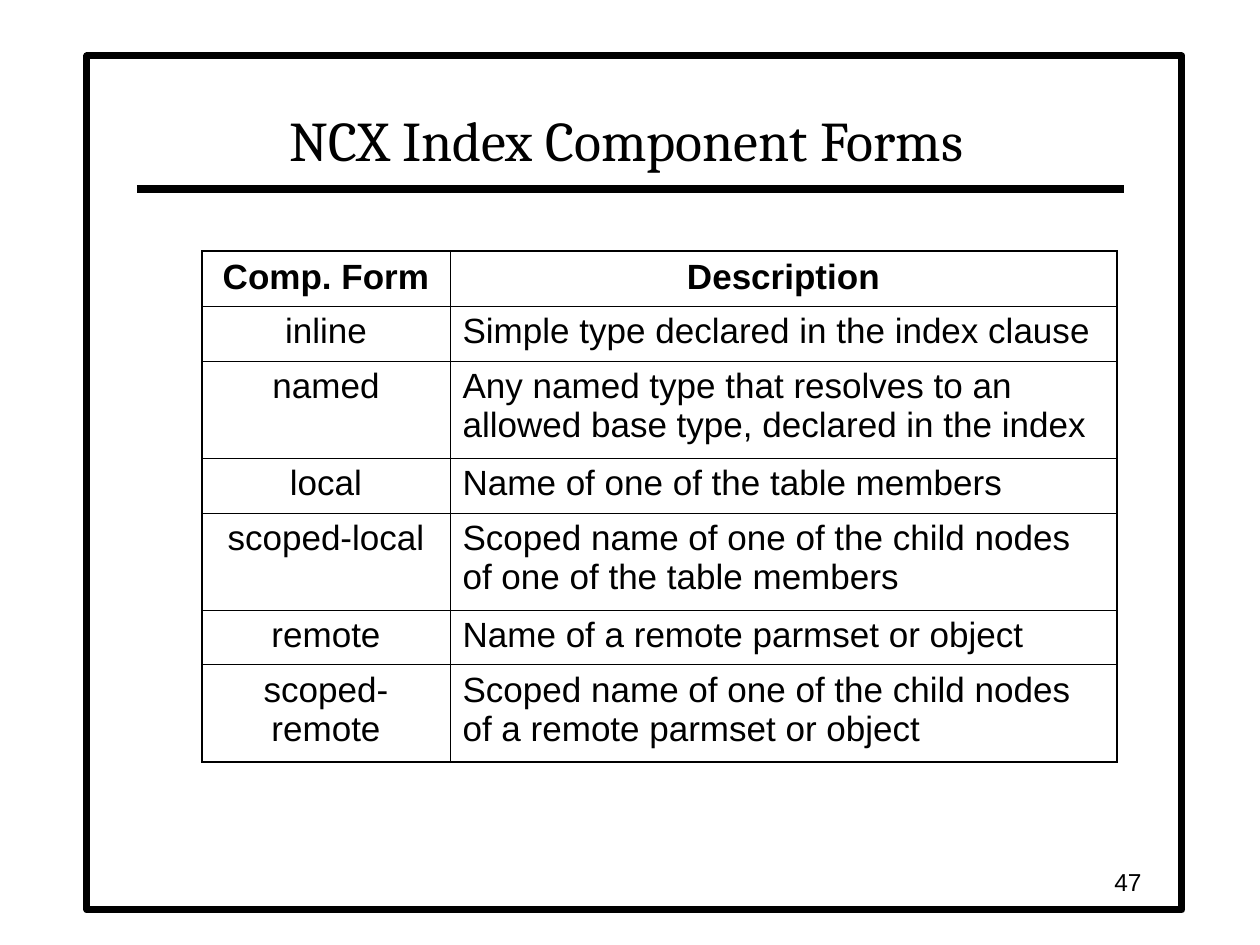
from lxml.etree import SubElement
from pptx import Presentation
from pptx.dml.color import RGBColor
from pptx.enum.shapes import MSO_CONNECTOR, MSO_SHAPE
from pptx.enum.text import MSO_ANCHOR, MSO_AUTO_SIZE, PP_ALIGN
from pptx.oxml import parse_xml
from pptx.oxml.ns import nsdecls, qn
from pptx.util import Emu, Pt

PX_PER_INCH = 126
BLACK, WHITE = "000000", "FFFFFF"
THIN, THICK = 0.45, 1.08
COLUMN_WIDTHS = (248, 667)
SINGLE_ROW, DOUBLE_ROW = 55, 97
# Each row: component form, description, row height
ROWS = [
    ("Comp. Form", "Description", SINGLE_ROW),
    ("inline", "Simple type declared in the index clause", SINGLE_ROW),
    ("named", "Any named type that resolves to an allowed base type, "
              "declared in the index", DOUBLE_ROW),
    ("local", "Name of one of the table members", SINGLE_ROW),
    ("scoped-local", "Scoped name of one of the child nodes of one of the "
                     "table members", DOUBLE_ROW),
    ("remote", "Name of a remote parmset or object", SINGLE_ROW),
    ("scoped-remote", "Scoped name of one of the child nodes of a remote "
                      "parmset or object", DOUBLE_ROW),
]


def px(value):
    return Emu(round(value * 914400 / PX_PER_INCH))


def color(hex_string):
    return RGBColor.from_string(hex_string)


def set_text(text_frame, text, size, font_name, alignment, bold=False):
    text_frame.text = text
    paragraph = text_frame.paragraphs[0]
    paragraph.alignment = alignment
    font = paragraph.runs[0].font
    font.name, font.size, font.bold = font_name, Pt(size), bold
    font.color.rgb = color(BLACK)


def add_frame(slide, left, top, width, height):
    frame = slide.shapes.add_shape(
        MSO_SHAPE.RECTANGLE, px(left), px(top), px(width), px(height))
    frame.shadow.inherit = False
    frame.fill.solid()
    frame.fill.fore_color.rgb = color(WHITE)
    frame.line.color.rgb = color(BLACK)
    frame.line.width = Pt(4)


def add_rule(slide, left, right, y):
    rule = slide.shapes.add_connector(
        MSO_CONNECTOR.STRAIGHT, px(left), px(y), px(right), px(y))
    rule.line.color.rgb = color(BLACK)
    rule.line.width = Pt(4.5)
    SubElement(rule.element.spPr, qn("a:effectLst"))


def format_title(slide, text, left, top, width, height):
    """Place the title placeholder in front of the frame."""
    title = slide.shapes.title
    title.left, title.top = px(left), px(top)
    title.width, title.height = px(width), px(height)
    title.text_frame.auto_size = MSO_AUTO_SIZE.NONE
    title.text_frame.vertical_anchor = MSO_ANCHOR.BOTTOM
    set_text(title.text_frame, text, 32, "Cambria", PP_ALIGN.CENTER)
    title.element.getparent().append(title.element)


def set_borders(cell, widths):
    """Draw the left, right, top and bottom borders, given in points."""
    properties = cell._tc.get_or_add_tcPr()
    for index, (side, width) in enumerate(zip("LRTB", widths)):
        properties.insert(index, parse_xml(
            f'<a:ln{side} {nsdecls("a")} w="{Pt(width)}"><a:solidFill>'
            f'<a:srgbClr val="{BLACK}"/></a:solidFill></a:ln{side}>'))


def add_forms_table(slide, left, top):
    last_row, last_column = len(ROWS) - 1, len(COLUMN_WIDTHS) - 1
    table = slide.shapes.add_table(
        len(ROWS), len(COLUMN_WIDTHS), px(left), px(top),
        px(sum(COLUMN_WIDTHS)), px(sum(row[-1] for row in ROWS))).table
    table.first_row = table.horz_banding = False
    for column, width in zip(table.columns, COLUMN_WIDTHS):
        column.width = px(width)
    for row_index, (*texts, height) in enumerate(ROWS):
        table.rows[row_index].height = px(height)
        for column_index, text in enumerate(texts):
            cell = table.cell(row_index, column_index)
            cell.fill.solid()
            cell.fill.fore_color.rgb = color(WHITE)
            is_header = row_index == 0
            centred = is_header or column_index == 0
            set_text(cell.text_frame, text, 20, "Arial",
                     PP_ALIGN.CENTER if centred else PP_ALIGN.LEFT, is_header)
            outer_sides = (column_index == 0, column_index == last_column,
                           row_index == 0, row_index == last_row)
            set_borders(cell, [THICK if outer else THIN
                               for outer in outer_sides])


def add_page_number(slide, text, left, top, width, height):
    box = slide.shapes.add_textbox(px(left), px(top), px(width), px(height))
    box.text_frame.word_wrap = True
    box.text_frame.vertical_anchor = MSO_ANCHOR.MIDDLE
    set_text(box.text_frame, text, 14, "Arial", PP_ALIGN.RIGHT)


def main():
    presentation = Presentation()
    presentation.slide_width, presentation.slide_height = px(1260), px(945)
    slide = presentation.slides.add_slide(presentation.slide_layouts[5])
    add_frame(slide, 87, 56, 1095, 854)
    add_rule(slide, 137, 1124, 189)
    format_title(slide, "NCX Index Component Forms", 136, 63, 982, 116)
    add_forms_table(slide, 202, 251)
    add_page_number(slide, "47", 892, 861, 262, 42)
    presentation.save("out.pptx")


if __name__ == "__main__":
    main()
